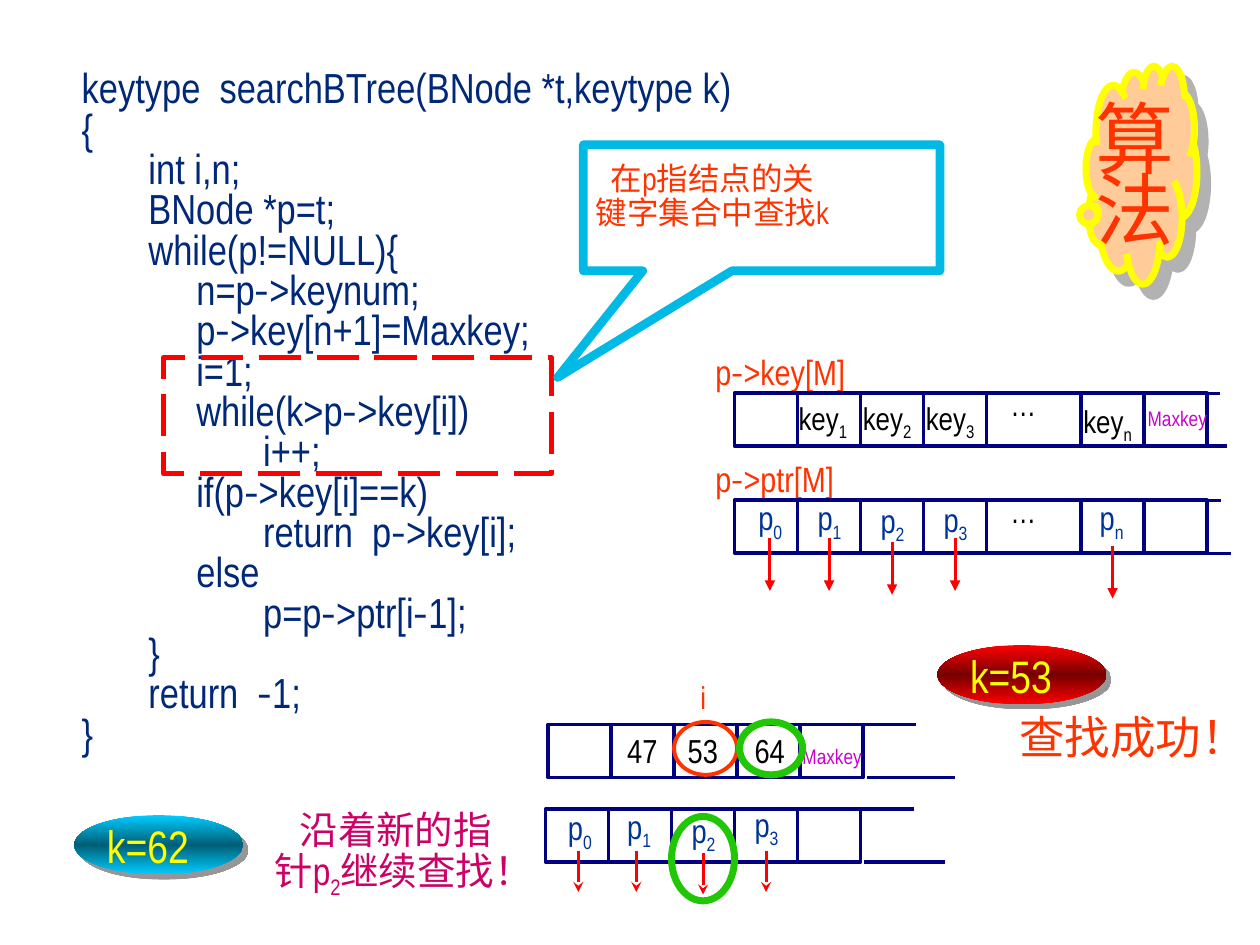
from copy import deepcopy
from dataclasses import dataclass
from itertools import groupby

from lxml import etree
from pptx import Presentation
from pptx import util as u
from pptx.dml import color
from pptx.enum import dml, shapes, text
from pptx.oxml import ns

SHAPE = shapes.MSO_SHAPE


@dataclass(frozen=True)
class Theme:
    latin: str = "Arial Narrow"
    cjk: str = "Noto Sans CJK SC"
    code: str = "002878"
    accent: str = "FF3300"
    red: str = "FF0000"
    dark_red: str = "760000"
    cyan: str = "00CCFF"
    dark_cyan: str = "005E76"
    callout: str = "00B9E4"
    yellow: str = "FFFF00"
    peach: str = "FFCC99"
    green: str = "21C705"
    note: str = "CC0066"
    sentinel: str = "CC00CC"
    grid: str = "000080"
    pointer: str = "003399"
    black: str = "000000"
    badge_shadow: str = "969696"
    cloud_shadow: str = "B2B2B2"
    huge: int = 45
    large: int = 26
    body: int = 24
    note_size: int = 22
    label: int = 20
    value: int = 19
    small: int = 18
    tiny: int = 12


def rgb(value):
    return color.RGBColor.from_string(value)


def add_shadow(parent, tint, distance, angle):
    effects = etree.SubElement(parent, ns.qn("a:effectLst"))
    outer = etree.SubElement(effects, ns.qn("a:outerShdw"), dist=str(u.Pt(distance)),
                             dir=str(angle * 60000), algn="ctr", rotWithShape="0")
    etree.SubElement(outer, ns.qn("a:srgbClr"), val=tint)


class Board:
    cell_width = 0.5
    cell_height = 0.42

    def __init__(self, slide, theme):
        self.slide = slide
        self.theme = theme

    def text(self, x, y, w, h, lines, size, tint, spacing=None, wrap=False, shadow=False):
        tb = self.slide.shapes.add_textbox(*map(u.Inches, (x, y, w, h)))
        tf = tb.text_frame
        tf.word_wrap = wrap
        tf.auto_size = text.MSO_AUTO_SIZE.SHAPE_TO_FIT_TEXT
        for i, (indent, line) in enumerate(lines):
            p = tf.paragraphs[0] if i == 0 else tf.add_paragraph()
            p.line_spacing = spacing
            p.font.name = self.theme.latin
            p.font.size = u.Pt(size)
            p.font.color.rgb = rgb(tint)
            pPr = p._p.get_or_add_pPr()
            if indent:
                pPr.set("indent", str(u.Inches(indent)))
            etree.SubElement(pPr.find(ns.qn("a:defRPr")), ns.qn("a:ea"), typeface=self.theme.cjk)
            self.runs(p, line, shadow)

    def runs(self, p, line, shadow):
        for i, part in enumerate(line.split("_")):
            if i:
                self.run(p, part[0], shadow).set("baseline", "-25000")
                part = part[1:]
            for hyphen, chars in groupby(part, lambda c: c == "-"):
                rPr = self.run(p, "".join(chars), shadow)
                if hyphen:
                    for script in ("a:latin", "a:ea"):
                        etree.SubElement(rPr, ns.qn(script), typeface=self.theme.cjk)

    def run(self, p, chars, shadow):
        r = p.add_run()
        r.text = chars
        rPr = r._r.get_or_add_rPr()
        if shadow:
            add_shadow(rPr, self.theme.black, 2, 45)
        return rPr

    def label(self, x, y, w, h, line, size, tint, **options):
        self.text(x, y, w, h, [(0, line)], size, tint, **options)

    def shape(self, kind, x, y, w, h, line=None, width=2, fill=None, adjust=()):
        sp = self.slide.shapes.add_shape(kind, *map(u.Inches, (x, y, w, h)))
        sp.shadow.inherit = False
        for i, value in enumerate(adjust):
            sp.adjustments[i] = value
        if fill:
            sp.fill.solid()
            sp.fill.fore_color.rgb = rgb(fill)
        else:
            sp.fill.background()
        if line:
            sp.line.color.rgb = rgb(line)
            sp.line.width = u.Pt(width)
        else:
            sp.line.fill.background()
        return sp

    def cast_shadow(self, sp, tint, distance, angle):
        spPr = sp._element.spPr
        spPr.remove(spPr.find(ns.qn("a:effectLst")))
        add_shadow(spPr, tint, distance, angle)

    def line(self, x1, y1, x2, y2, tint, width=2, head=None):
        cx = self.slide.shapes.add_connector(
            shapes.MSO_CONNECTOR.STRAIGHT, *map(u.Inches, (x1, y1, x2, y2)))
        cx.line.color.rgb = rgb(tint)
        cx.line.width = u.Pt(width)
        if head:
            etree.SubElement(cx.line._get_or_add_ln(), ns.qn("a:tailEnd"), type=head)
        etree.SubElement(cx._element.spPr, ns.qn("a:effectLst"))

    def cells(self, x, y, slots):
        for slot in slots:
            self.shape(SHAPE.RECTANGLE, x + slot * self.cell_width, y,
                       self.cell_width, self.cell_height, self.theme.grid)

    def arrows(self, points, length, head):
        for x, y in points:
            self.line(x, y, x, y + length, self.theme.red, 1.75, head)

    def pointers(self, items):
        for x, y, sub in items:
            self.label(x, y, 0.44, 0.42, f"p_{sub}", self.theme.value, self.theme.pointer)

    def badge(self, x, y, line, edge, middle):
        sp = self.shape(SHAPE.OVAL, x, y, 1.34, 0.47)
        sp.fill.gradient()
        sp.fill.gradient_angle = 90
        stops = sp._element.spPr.find(".//" + ns.qn("a:gsLst"))
        stops.insert(1, deepcopy(stops[0]))
        for stop, position, tint in zip(sp.fill.gradient_stops, (0, 0.5, 1), (edge, middle, edge)):
            stop.position = position
            stop.color.rgb = rgb(tint)
        self.cast_shadow(sp, self.theme.badge_shadow, 4.2, 45)
        self.label(x + 0.16, y - 0.03, 0.99, 0.53, line, self.theme.large,
                   self.theme.yellow, wrap=True, shadow=True)

    def node_array(self, y, title, tails):
        t = self.theme
        self.label(5.58, y - 0.39, 1.5, 0.43, title, t.label, t.accent)
        self.cells(5.83, y, (0, 1, 2, 3, 5.5, 6.5))
        self.label(7.92, y - 0.11, 0.53, 0.5, "…", t.small, t.black)
        for edge, tail in zip((y, y + self.cell_height), tails):
            self.line(7.83, edge, 8.58, edge, t.grid)
            self.line(tail, edge, tail + 0.25, edge, t.grid, 1.75)

    def sample_array(self, x, y, tail):
        self.cells(x, y, range(5))
        end = x + 5 * self.cell_width
        bottom = y + self.cell_height
        self.line(end, y, end + 0.42, y, self.theme.grid)
        self.line(end + 0.03, bottom, tail, bottom, self.theme.grid)


CODE = [
    (0, "keytype  searchBTree(BNode *t,keytype k)"), (0, "{"),
    (0.53, "int i,n;"), (0.53, "BNode *p=t;"), (0.53, "while(p!=NULL){"),
    (0.91, "n=p->keynum;"), (0.91, "p->key[n+1]=Maxkey;"), (0.91, "i=1;"),
    (0.91, "while(k>p->key[i])"), (1.44, "i++;"), (0.91, "if(p->key[i]==k)"),
    (1.44, "return  p->key[i];"), (0.91, "else"), (1.44, "p=p->ptr[i-1];"),
    (0.53, "}"), (0.53, "return  -1;"), (0, "}"),
]


def main():
    prs = Presentation()
    prs.slide_width, prs.slide_height = u.Inches(10), u.Inches(7.5)
    t = Theme()
    b = Board(prs.slides.add_slide(prs.slide_layouts[6]), t)

    b.text(0.55, 0.52, 6.42, 5.59, CODE, t.body, t.code, spacing=0.8, wrap=True)
    b.badge(7.44, 5.12, "k=53", t.red, t.dark_red)
    b.label(7.99, 5.58, 2.31, 0.53, "查找成功！", t.large, t.accent, wrap=True)

    loop = b.shape(SHAPE.RECTANGLE, 1.3, 2.84, 3.08, 0.92, t.red, 3)
    loop.line.dash_style = dml.MSO_LINE.LONG_DASH
    b.shape(SHAPE.RECTANGULAR_CALLOUT, 4.63, 1.15, 2.83, 1, t.callout, 5, adjust=(-0.572, 1.346))
    b.text(4.63, 1.25, 2.73, 0.82, [(0.12, "在p指结点的关"), (0, "键字集合中查找k")],
           t.small, t.accent, spacing=0.9)
    b.text(2.08, 6.42, 2.52, 0.69, [(0.2, "沿着新的指"), (0, "针p_2继续查找！")],
           t.note_size, t.note, spacing=0.8, wrap=True, shadow=True)

    b.sample_array(4.35, 5.75, 7.58)
    for x, key in ((4.88, "47"), (5.36, "53"), (5.89, "64")):
        b.label(x, 5.75, 0.47, 0.42, key, t.value, t.black)
    b.sample_array(4.33, 6.42, 7.5)
    b.pointers([(4.41, 6.36, 0), (4.88, 6.35, 1), (5.39, 6.38, 2), (5.89, 6.33, 3)])
    b.arrows([(4.59, 6.75), (5.05, 6.75), (5.58, 6.77), (6.08, 6.75)], 0.33, "stealth")
    b.shape(SHAPE.OVAL, 5.33, 6.48, 0.5, 0.67, t.green, 4)

    cloud = b.shape(SHAPE.CLOUD_CALLOUT, 8.62, 0.52, 0.88, 1.73, t.yellow, 4, t.peach,
                    (-0.451, 0.176))
    b.cast_shadow(cloud, t.cloud_shadow, 9.2, 49)
    b.text(8.6, 0.84, 0.83, 1.23, [(0, "算"), (0, "法")], t.huge, t.accent,
           spacing=0.75, shadow=True)

    b.shape(SHAPE.OVAL, 5.35, 5.73, 0.5, 0.42, t.accent, 2.25)
    b.label(5.46, 5.33, 0.29, 0.5, "i", t.small, t.accent)

    b.node_array(3.12, "p->key[M]", (9.43, 9.49))
    for x, y, sub in ((6.24, 3.12, 1), (6.75, 3.12, 2), (7.25, 3.12, 3), (8.5, 3.14, "n")):
        b.label(x, y, 0.66, 0.4, f"key_{sub}", t.small, t.black)
    b.node_array(3.97, "p->ptr[M]", (9.44, 9.52))
    b.pointers([(5.92, 3.9, 0), (6.39, 3.9, 1), (6.89, 3.92, 2), (7.39, 3.91, 3), (8.63, 3.9, "n")])
    b.arrows([(6.11, 4.27), (6.58, 4.27), (7.08, 4.3), (7.58, 4.27), (8.83, 4.33)],
             0.42, "triangle")
    for x, y in ((9.01, 3.17), (6.27, 5.85)):
        b.label(x, y, 0.78, 0.3, "Maxkey", t.tiny, t.sentinel)

    b.badge(0.59, 6.47, "k=62", t.cyan, t.dark_cyan)
    b.shape(SHAPE.OVAL, 5.87, 5.73, 0.5, 0.42, t.green, 4)
    prs.save("out.pptx")


if __name__ == "__main__":
    main()
